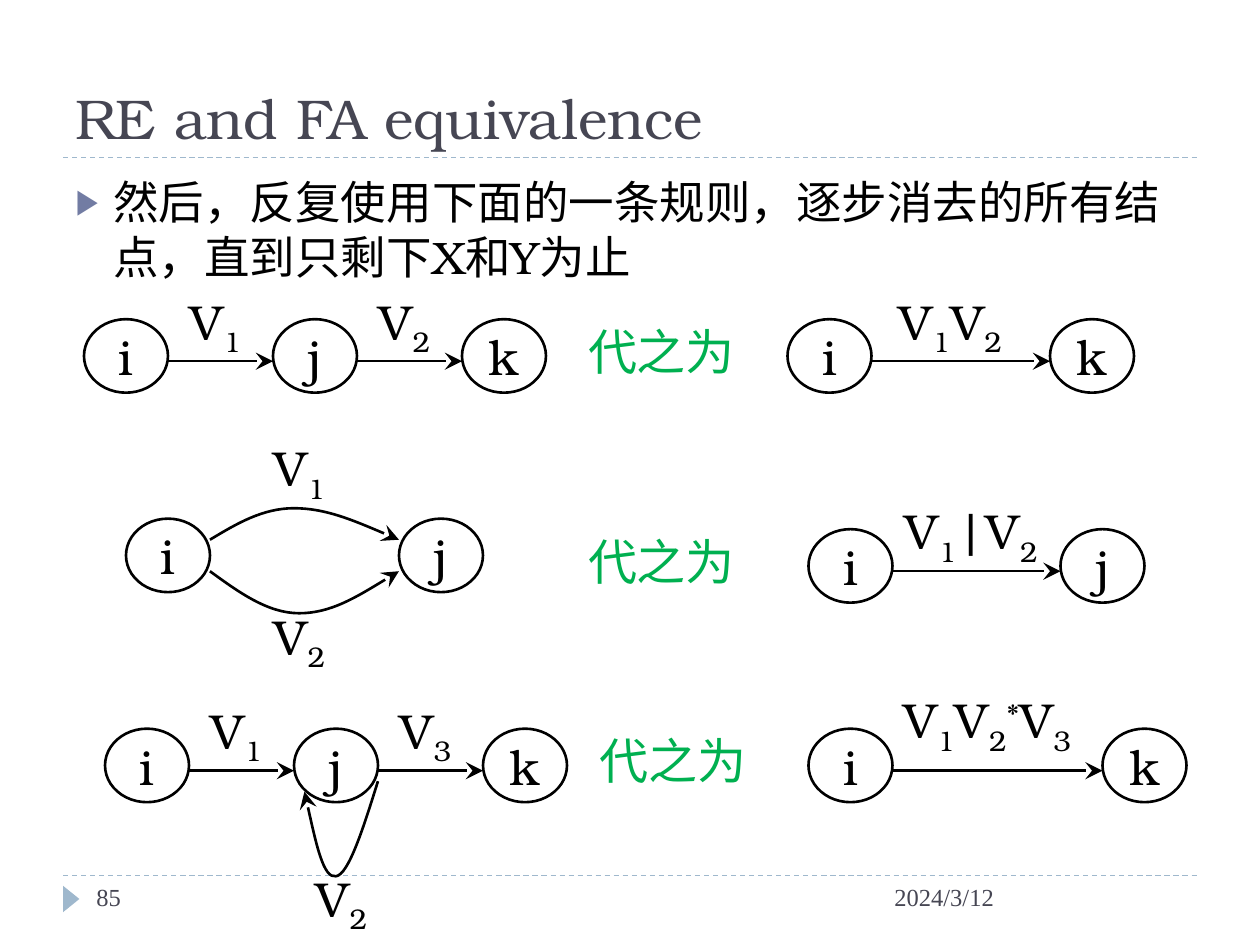
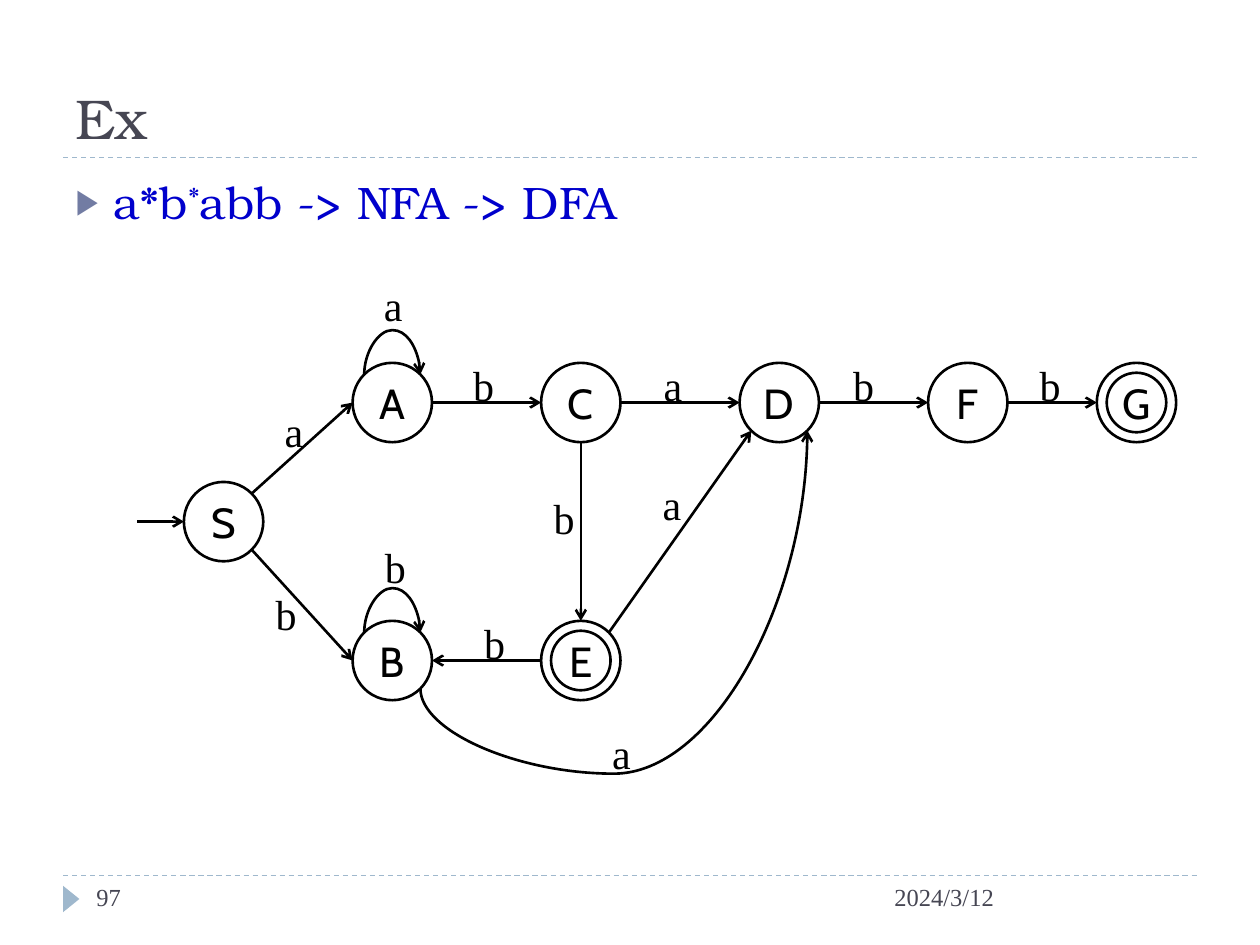
"""Build two slides on regular expressions and finite automata."""
from dataclasses import dataclass
from math import cos, radians, sin
from typing import NamedTuple

from lxml.etree import SubElement
from pptx import Presentation
from pptx.dml.color import RGBColor
from pptx.enum.dml import MSO_LINE
from pptx.enum.shapes import MSO_CONNECTOR, MSO_SHAPE
from pptx.enum.text import MSO_ANCHOR, MSO_AUTO_SIZE, PP_ALIGN
from pptx.oxml.ns import qn
from pptx.util import Inches, Pt

BLACK = RGBColor(0x00, 0x00, 0x00)
SLATE = RGBColor(0x46, 0x46, 0x53)
MIST = RGBColor(0x9F, 0xB8, 0xCD)
GREEN = RGBColor(0x00, 0xB0, 0x50)
BLUE = RGBColor(0x00, 0x00, 0xCC)
BULLET = "727CA3"
BONUM, TIMES, CABIN = "TeX Gyre Bonum", "Times New Roman", "Cabin"
SUB, SUPER = -25, 30
INK_WIDTH = 1.5
HEAD_SIZES = {"stealth": "lg", "arrow": "med"}


class Span(NamedTuple):
    text: str
    baseline: int = 0


class Style(NamedTuple):
    font: str
    size: int
    color: RGBColor = BLACK


class Point(NamedTuple):
    col: float
    row: float


class Area(NamedTuple):
    col: float
    row: float
    cols: float
    rows: float


@dataclass(frozen=True)
class Grid:
    left: float
    top: float
    unit: float

    def place(self, point: Point) -> tuple:
        return (Inches(self.left + point.col * self.unit),
                Inches(self.top + point.row * self.unit))

    def frame(self, area: Area) -> tuple:
        size = (Inches(area.cols * self.unit), Inches(area.rows * self.unit))
        return self.place(Point(area.col, area.row)) + size


class Link(NamedTuple):
    start: str
    leave: int
    end: str
    arrive: int


class Rule(NamedTuple):
    """One rewriting rule: states as name and column, arrows and labels."""
    row: float
    states: list
    arrows: list
    labels: list


PAGE = Grid(0, 0, 1 / 12)
RULES = Grid(0, 30.4 / 12, 1 / 12)
AUTOMATON = Grid(1.46, 2.88, 0.63 / 8)

TITLE_STYLE = Style(BONUM, 32, SLATE)
FOOTER_STYLE = Style(TIMES, 14, SLATE)
RULE_STYLE = Style(BONUM, 28)
REPLACE_STYLE = Style(BONUM, 28, GREEN)
STATE_STYLE = Style(CABIN, 24)
EDGE_STYLE = Style(TIMES, 24)

DIAMETER = 8
LOOP_RISE = -3.3


def variable(index: int) -> list[Span]:
    return [Span("V"), Span(str(index), SUB)]


REWRITES = [
    Rule(0, [("i", 8), ("j", 26), ("k", 44)], [(16, 26), (34, 44)],
         [(15, -3, variable(1)), (33, -3, variable(2))]),
    Rule(0, [("i", 75), ("k", 100)], [(83, 100)],
         [(85, -3, variable(1) + variable(2))]),
    Rule(19, [("i", 12), ("j", 38)], [],
         [(23, -8, variable(1)), (23, 8, variable(2))]),
    Rule(20, [("i", 77), ("j", 101)], [(85, 101)],
         [(87, -3, variable(1) + [Span("|")] + variable(2))]),
    Rule(39, [("i", 10), ("j", 28), ("k", 46)], [(18, 28), (36, 46)],
         [(17, -3, variable(1)), (35, -3, variable(3)), (27, 13, variable(2))]),
    Rule(39, [("i", 77), ("k", 105)], [(85, 105)],
         [(88.5, -4, variable(1) + variable(2) + [Span("*", SUPER)] + variable(3))]),
]
RULE_CURVES = [
    [(20, 21), (22.5, 19.5), (25, 18), (28, 18), (31, 18), (34.5, 19.5), (38, 21)],
    [(20, 24), (22.75, 26), (25.5, 28), (28.5, 28), (31.5, 28), (34.75, 26), (38, 24)],
    [(36, 44), (34.6, 48.5), (33.2, 52.9), (32, 53.05), (30.8, 53.3), (29.9, 49), (29, 45)],
]
REPLACEMENTS = [(56, -1), (56, 19), (57.1, 38)]

STATES = {"S": Point(0, 12), "A": Point(17, 0), "B": Point(17, 26), "C": Point(36, 0),
          "D": Point(56, 0), "F": Point(75, 0), "G": Point(92, 0), "E": Point(36, 26)}
ACCEPTING = "GE"
LINKS = [Link("S", 45, "A", 180), Link("S", -45, "B", 180), Link("E", 180, "B", 0),
         Link("A", 0, "C", 180), Link("C", 0, "D", 180), Link("D", 0, "F", 180),
         Link("F", 0, "G", 180), Link("C", -90, "E", 90), Link("E", 45, "D", -135)]
BENDS = [(Link("A", 135, "A", 45), LOOP_RISE),
         (Link("B", 135, "B", 45), STATES["B"].row + LOOP_RISE),
         (Link("B", -45, "D", -45), 41.4)]
EDGE_LABELS = {
    "a": [(8.9, 3.7), (18.9, -9), (47.1, -1), (47, 11), (41.9, 36.1)],
    "b": [(8, 22.1), (19, 17.4), (27.9, -1), (36, 12.4), (29, 25), (66.2, -1), (85, -1)],
}


def write(box, spans: list[Span], style: Style, align=PP_ALIGN.LEFT,
          anchor=MSO_ANCHOR.TOP, wrap: bool = True):
    """Fill the first paragraph of a box and return it."""
    frame = box.text_frame
    frame.word_wrap = wrap
    frame.vertical_anchor = anchor
    para = frame.paragraphs[0]
    para.alignment = align
    para.space_before = Pt(0)
    for piece in spans:
        span = para.add_run()
        span.text = piece.text
        span.font.name = style.font
        span.font.size = Pt(style.size)
        span.font.color.rgb = style.color
        if piece.baseline:
            span._r.get_or_add_rPr().set("baseline", str(piece.baseline * 1000))
    return para


def add_label(page, grid: Grid, area: Area, text: str, style: Style, wrap: bool = True):
    box = page.shapes.add_textbox(*grid.frame(area))
    write(box, [Span(text)], style, wrap=wrap)
    return box


def add_centred(page, grid: Grid, area: Area, spans: list[Span], style: Style,
                kind=MSO_SHAPE.RECTANGLE):
    """Add an unfilled, unlined shape whose one line of text may overhang evenly."""
    shape = page.shapes.add_shape(kind, *grid.frame(area))
    shape.shadow.inherit = False
    shape.fill.background()
    shape.line.fill.background()
    frame = shape.text_frame
    frame.margin_left = frame.margin_right = frame.margin_top = frame.margin_bottom = 0
    write(shape, spans, style, PP_ALIGN.CENTER, MSO_ANCHOR.MIDDLE, False)
    return shape


def stroke(shape, color: RGBColor, width: float) -> None:
    shape.line.color.rgb = color
    shape.line.width = Pt(width)


def add_circle(page, grid: Grid, area: Area, name: str = "", style: Style = STATE_STYLE) -> None:
    spans = [Span(name)] if name else []
    stroke(add_centred(page, grid, area, spans, style, MSO_SHAPE.OVAL), BLACK, INK_WIDTH)


def add_line(page, grid: Grid, start: Point, end: Point, color: RGBColor, width: float):
    line = page.shapes.add_connector(
        MSO_CONNECTOR.STRAIGHT, *grid.place(start), *grid.place(end))
    stroke(line, color, width)
    SubElement(line._element.spPr, qn("a:effectLst"))
    return line


def add_head(shape, kind: str) -> None:
    """Put an arrowhead at the end of a line."""
    size = HEAD_SIZES[kind]
    SubElement(shape.line._get_or_add_ln(), qn("a:tailEnd"), type=kind, w=size, len=size)


def add_arrow(page, grid: Grid, start: Point, end: Point, head: str) -> None:
    add_head(add_line(page, grid, start, end, BLACK, INK_WIDTH), head)


def add_curve(page, grid: Grid, points: list, head: str) -> None:
    """Draw a chain of cubic curves through a start and triples of points."""
    start, *rest = [grid.place(Point(*point)) for point in points]
    builder = page.shapes.build_freeform(*start)
    builder.add_line_segments(rest, close=False)
    curve = builder.convert_to_shape()
    outline = next(curve._element.iter(qn("a:path")))
    segments = outline.findall(qn("a:lnTo"))
    for first in range(0, len(segments), 3):
        cubic = SubElement(outline, qn("a:cubicBezTo"))
        for segment in segments[first:first + 3]:
            cubic.append(segment[0])
            outline.remove(segment)
    curve.shadow.inherit = False
    curve.fill.background()
    stroke(curve, BLACK, INK_WIDTH)
    add_head(curve, head)


def rim(name: str, degrees: int) -> Point:
    """Return the point of a state's circle at an angle."""
    corner, radius = STATES[name], DIAMETER / 2
    return Point(corner.col + radius * (1 + cos(radians(degrees))),
                 corner.row + radius * (1 - sin(radians(degrees))))


def bend(start: Point, end: Point, level: float) -> list:
    """Return curve points that leave upright, touch a level and return."""
    quarter = (end.col - start.col) / 4
    return [start, (start.col, (start.row + level) / 2), (start.col + quarter, level),
            (start.col + 2 * quarter, level), (start.col + 3 * quarter, level),
            (end.col, (end.row + level) / 2), end]


def move(box, area: Area) -> None:
    box.left, box.top, box.width, box.height = PAGE.frame(area)
    box.text_frame.auto_size = MSO_AUTO_SIZE.NONE


def add_page(deck, title: str, number: str, body: list[Span], body_rows: float, color: RGBColor):
    """Add a slide with title, bulleted body, rules and footer."""
    page = deck.slides.add_slide(deck.slide_layouts[1])
    for row in (83.4, 15):
        line = add_line(page, PAGE, Point(6, row), Point(114, row), MIST, 0.75)
        line.line.dash_style = MSO_LINE.DASH
    marker = page.shapes.add_shape(
        MSO_SHAPE.ISOSCELES_TRIANGLE, *PAGE.frame(Area(5.52, 84.84, 2.52, 1.56)))
    marker.rotation = 90
    marker.shadow.inherit = False
    marker.fill.solid()
    marker.fill.fore_color.rgb = MIST
    marker.line.fill.background()

    heading, content = page.placeholders
    move(heading, Area(6, 2, 108, 13))
    write(heading, [Span(title)], TITLE_STYLE, anchor=MSO_ANCHOR.BOTTOM)
    move(content, Area(6, 16, 108, body_rows))
    para = write(content, body, Style(BONUM, 26, color))
    props = para._p.get_or_add_pPr()
    props.set("marL", str(Inches(0.3)))
    props.set("indent", str(Inches(-0.3)))
    SubElement(SubElement(props, qn("a:buClr")), qn("a:srgbClr"), val=BULLET)
    SubElement(props, qn("a:buSzPct"), val="76000")
    SubElement(props, qn("a:buChar"), char="▶")

    add_label(page, PAGE, Area(84, 83.4, 30, 4.8), "2024/3/12", FOOTER_STYLE)
    add_label(page, PAGE, Area(8, 83.4, 26, 4.8), number, FOOTER_STYLE)
    return page


def build_rules(deck) -> None:
    text = "然后，反复使用下面的一条规则，逐步消去的所有结点，直到只剩下X和Y为止"
    page = add_page(deck, "RE and FA equivalence", "85", [Span(text)], 64.8, BLACK)
    for rule in REWRITES:
        for name, col in rule.states:
            add_circle(page, RULES, Area(col, rule.row, 8, 7), name, RULE_STYLE)
        for start, end in rule.arrows:
            add_arrow(page, RULES, Point(start, rule.row + 4), Point(end, rule.row + 4), "stealth")
        for col, rise, spans in rule.labels:
            add_centred(page, RULES, Area(col, rule.row + rise, 11, 7), spans, RULE_STYLE)
    for points in RULE_CURVES:
        add_curve(page, RULES, points, "stealth")
    for col, row in REPLACEMENTS:
        add_centred(page, RULES, Area(col, row, 14, 8), [Span("代之为")], REPLACE_STYLE)


def build_automaton(deck) -> None:
    body = [Span("a*b"), Span("*", SUPER), Span("abb -> NFA -> DFA")]
    page = add_page(deck, "Ex", "97", body, 8.2, BLUE)
    for name, corner in STATES.items():
        add_circle(page, AUTOMATON, Area(*corner, DIAMETER, DIAMETER), name)
    for name in ACCEPTING:
        col, row = STATES[name]
        add_circle(page, AUTOMATON, Area(col + 1, row + 1, DIAMETER - 2, DIAMETER - 2))
    add_arrow(page, AUTOMATON, Point(-4.7, 16), rim("S", 180), "arrow")
    for link in LINKS:
        add_arrow(page, AUTOMATON, rim(*link[:2]), rim(*link[2:]), "arrow")
    for link, level in BENDS:
        add_curve(page, AUTOMATON, bend(rim(*link[:2]), rim(*link[2:]), level), "arrow")
    for letter, corners in EDGE_LABELS.items():
        for corner in corners:
            box = add_label(page, AUTOMATON, Area(*corner, 4.6, 6.4), letter, EDGE_STYLE, False)
            box.text_frame.auto_size = MSO_AUTO_SIZE.SHAPE_TO_FIT_TEXT


def main() -> None:
    deck = Presentation()
    deck.slide_width, deck.slide_height = Inches(10), Inches(7.5)
    build_rules(deck)
    build_automaton(deck)
    deck.save("out.pptx")


if __name__ == "__main__":
    main()
